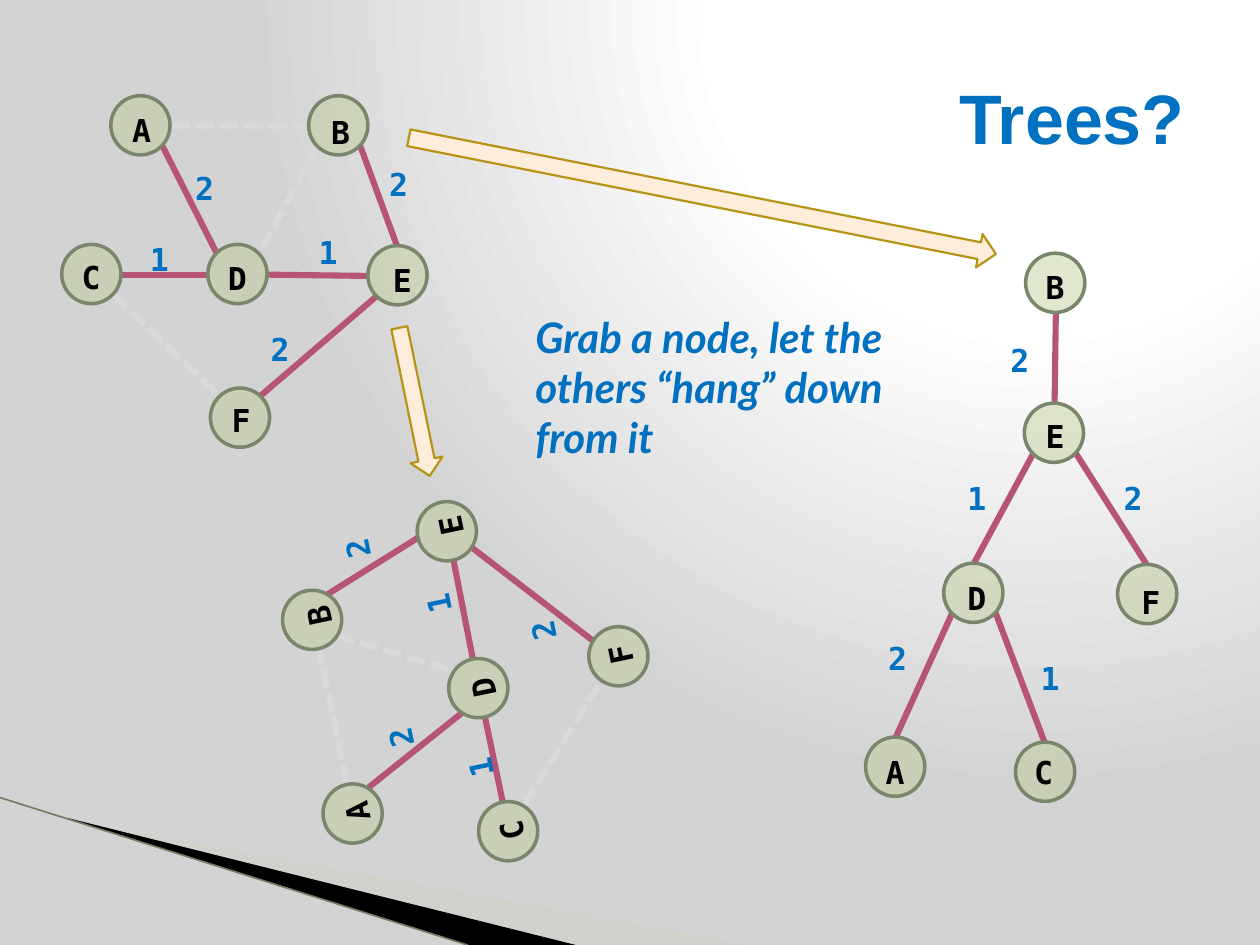
from math import cos, radians, sin

from lxml.etree import SubElement
from pptx import Presentation
from pptx.dml.color import RGBColor
from pptx.enum.dml import MSO_LINE
from pptx.enum.shapes import MSO_CONNECTOR, MSO_SHAPE
from pptx.enum.text import MSO_ANCHOR, MSO_AUTO_SIZE, PP_ALIGN
from pptx.oxml import parse_xml
from pptx.oxml.ns import nsdecls, qn
from pptx.util import Cm, Pt

CM_PER_INCH = 2.54
BLUE, BLACK, RED, PALE = "0070C0", "000000", "B55475", "D9D9D9"
NODE_SIZE, TEXT_HEIGHT, TEXT_WIDTH = 0.47, 0.4, 0.41
LETTER_WIDTHS = {"C": 0.44, "D": 0.27, "E": 0.28}

GRAPH = {
    "nodes": [
        ("A", 0.88, 0.76, 0.95, 0.83), ("B", 2.45, 0.76, 2.53, 0.85),
        ("C", 0.49, 1.94, 0.55, 2.0), ("D", 1.65, 1.94, 1.71, 2.01),
        ("E", 2.92, 1.95, 3.02, 2.02), ("F", 1.67, 3.08, 1.74, 3.13),
    ],
    "tree edges": [
        (2.99, 2.35, 2.07, 3.14), (1.65, 2.18, 0.97, 2.18), (1.29, 1.16, 1.72, 2.01),
        (2.86, 1.16, 3.15, 1.95), (2.92, 2.19, 2.13, 2.18),
    ],
    "unused edges": [
        (2.52, 1.16, 2.06, 2.01), (1.36, 1, 2.45, 1), (0.9, 2.34, 1.74, 3.14),
    ],
    "weights": [
        ("2", 1.45, 1.29), ("1", 1.09, 1.86), ("2", 2.05, 2.57),
        ("1", 2.43, 1.8), ("2", 2.99, 1.26),
    ],
}
TREE_FROM_B = {
    "nodes": [
        ("A", 6.87, 5.85, 6.93, 5.93), ("B", 8.14, 2.01, 8.2, 2.08),
        ("C", 8.06, 5.89, 8.11, 5.93), ("D", 7.49, 4.47, 7.58, 4.55),
        ("E", 8.13, 3.2, 8.2, 3.26), ("F", 8.87, 4.48, 8.96, 4.58),
    ],
    "tree edges": [
        (8.54, 3.6, 9.1, 4.48), (7.9, 4.86, 8.29, 5.89), (7.11, 5.85, 7.56, 4.86),
        (8.38, 2.48, 8.37, 3.2), (8.2, 3.6, 7.73, 4.47),
    ],
    "unused edges": [],
    "weights": [
        ("2", 6.95, 5.02), ("1", 8.16, 5.18), ("2", 8.82, 3.75),
        ("1", 7.58, 3.75), ("2", 7.92, 2.66),
    ],
}
NODE_E = (3.16, 2.19)
HUNG_FROM_E = (258.2, NODE_E, (3.55, 4.21))
UPRIGHT = (0, NODE_E, NODE_E)
ARROWS = [(2.69, 3.06, 1.2, 0.26, 78.4), (3.2, 1.42, 4.75, 0.27, 11.2)]
WAVES = [
    ("CBD4C0", 40, [(0.55, 6.51), (5.95, 7.5), (4.56, 7.5), (0.55, 6.5)]),
    (BLACK, 100, [(0.53, 6.49), (4.57, 7.5), (3.72, 7.5), (0.54, 6.5)]),
]
MONO = {"name": "DejaVu Sans Mono", "size": Pt(18), "bold": True}
TITLE_FONT = {"name": "Arial", "size": Pt(40), "bold": True}
NOTE_FONT = {"name": "Lato", "size": Pt(24), "bold": True, "italic": True}
GROW = {"word_wrap": True, "auto_size": MSO_AUTO_SIZE.SHAPE_TO_FIT_TEXT}
MIDDLE = {"word_wrap": True, "vertical_anchor": MSO_ANCHOR.MIDDLE}


def lengths(*inches):
    return [Cm(value * CM_PER_INCH) for value in inches]


def color(hex_string):
    return RGBColor.from_string(hex_string)


def apply(target, values):
    for name, value in values.items():
        setattr(target, name, value)


def paint(shape, fill, opacity=100, line=None, width=0):
    shape.shadow.inherit = False
    shape.fill.solid()
    shape.fill.fore_color.rgb = color(fill)
    if opacity < 100:
        fill_color = shape.element.spPr.find(qn("a:solidFill")).find(qn("a:srgbClr"))
        SubElement(fill_color, qn("a:alpha"), val=str(opacity * 1000))
    if line:
        shape.line.color.rgb = color(line)
        shape.line.width = Pt(width)
    else:
        shape.line.fill.background()


def add_line(shapes, ends, line, width, dash=None):
    connector = shapes.add_connector(MSO_CONNECTOR.STRAIGHT, *lengths(*ends))
    connector.line.color.rgb = color(line)
    connector.line.width = Pt(width)
    if dash:
        connector.line.dash_style = dash
    SubElement(connector.element.spPr, qn("a:effectLst"))


def add_text(shapes, text, box, font, font_color, frame, paragraph_format, rotation=0):
    shape = shapes.add_textbox(*lengths(*box))
    shape.rotation = rotation
    apply(shape.text_frame, frame)
    paragraph = shape.text_frame.paragraphs[0]
    apply(paragraph, paragraph_format)
    run = paragraph.add_run()
    run.text = text
    apply(run.font, font)
    run.font.color.rgb = color(font_color)


def turn(x, y, placement):
    angle, pivot, target = placement
    cosine, sine = cos(radians(angle)), sin(radians(angle))
    across, down = x - pivot[0], y - pivot[1]
    return (target[0] + across * cosine - down * sine,
            target[1] + across * sine + down * cosine)


def turn_box(left, top, width, height, placement):
    x, y = turn(left + width / 2, top + height / 2, placement)
    return x - width / 2, y - height / 2, width, height


def add_graph(slide, graph, placement):
    shapes = slide.shapes.add_group_shape().shapes
    for kind, line, dash in (("tree edges", RED, None),
                             ("unused edges", PALE, MSO_LINE.SQUARE_DOT)):
        for x1, y1, x2, y2 in graph[kind]:
            ends = turn(x1, y1, placement) + turn(x2, y2, placement)
            add_line(shapes, ends, line, 3.5, dash)
    for letter, left, top, text_left, text_top in graph["nodes"]:
        box = turn_box(left, top, NODE_SIZE, NODE_SIZE, placement)
        node = shapes.add_shape(MSO_SHAPE.OVAL, *lengths(*box))
        node.rotation = placement[0]
        paint(node, "BECB95", 45, "7A866C", 2)
    labels = [(letter, left, top, BLACK) for letter, _, _, left, top in graph["nodes"]]
    labels += [(*weight, BLUE) for weight in graph["weights"]]
    for text, left, top, font_color in labels:
        width = LETTER_WIDTHS.get(text, TEXT_WIDTH)
        box = turn_box(left, top, width, TEXT_HEIGHT, placement)
        add_text(shapes, text, box, MONO, font_color, GROW,
                 {"space_after": Pt(6)}, placement[0])


def set_background(slide):
    slide.background.fill.solid()
    properties = slide.element.xpath(".//p:bgPr")[0]
    properties.remove(properties.find(qn("a:solidFill")))
    stops = "".join(
        f'<a:gs pos="{position * 1000}"><a:srgbClr val="{shade}"/></a:gs>'
        for position, shade in ((0, "FFFFFF"), (40, "FFFFFF"), (100, "D3D3D3")))
    properties.insert(0, parse_xml(
        f'<a:gradFill {nsdecls("a")} rotWithShape="1"><a:gsLst>{stops}</a:gsLst>'
        '<a:path path="circle"><a:fillToRect l="65000" t="0" r="0" b="98000"/></a:path>'
        '</a:gradFill>'))


def main():
    presentation = Presentation()
    presentation.slide_width, presentation.slide_height = lengths(10, 7.5)
    slide = presentation.slides.add_slide(presentation.slide_layouts[6])
    shapes = slide.shapes
    set_background(slide)
    for fill, opacity, points in WAVES:
        start, *others = [lengths(*point) for point in points]
        builder = shapes.build_freeform(*start)
        builder.add_line_segments(others)
        paint(builder.convert_to_shape(), fill, opacity)
    add_line(shapes, (0, 6.33, 3.71, 7.5), "7A7A66", 0.95)
    add_text(shapes, "Trees?", (0.5, 0.3, 9, 1.25), TITLE_FONT, BLUE, MIDDLE,
             {"alignment": PP_ALIGN.RIGHT})
    add_graph(slide, GRAPH, UPRIGHT)
    add_graph(slide, GRAPH, HUNG_FROM_E)
    for *box, rotation in ARROWS:
        arrow = shapes.add_shape(MSO_SHAPE.RIGHT_ARROW, *lengths(*box))
        arrow.rotation = rotation
        paint(arrow, "FDEDDA", 100, "B79315", 1.25)
    add_graph(slide, TREE_FROM_B, UPRIGHT)
    add_text(shapes, "Grab a node, let the others “hang” down from it",
             (4.15, 2.42, 3.4, 1.31), NOTE_FONT, BLUE, GROW, {})
    presentation.save("out.pptx")


if __name__ == "__main__":
    main()
